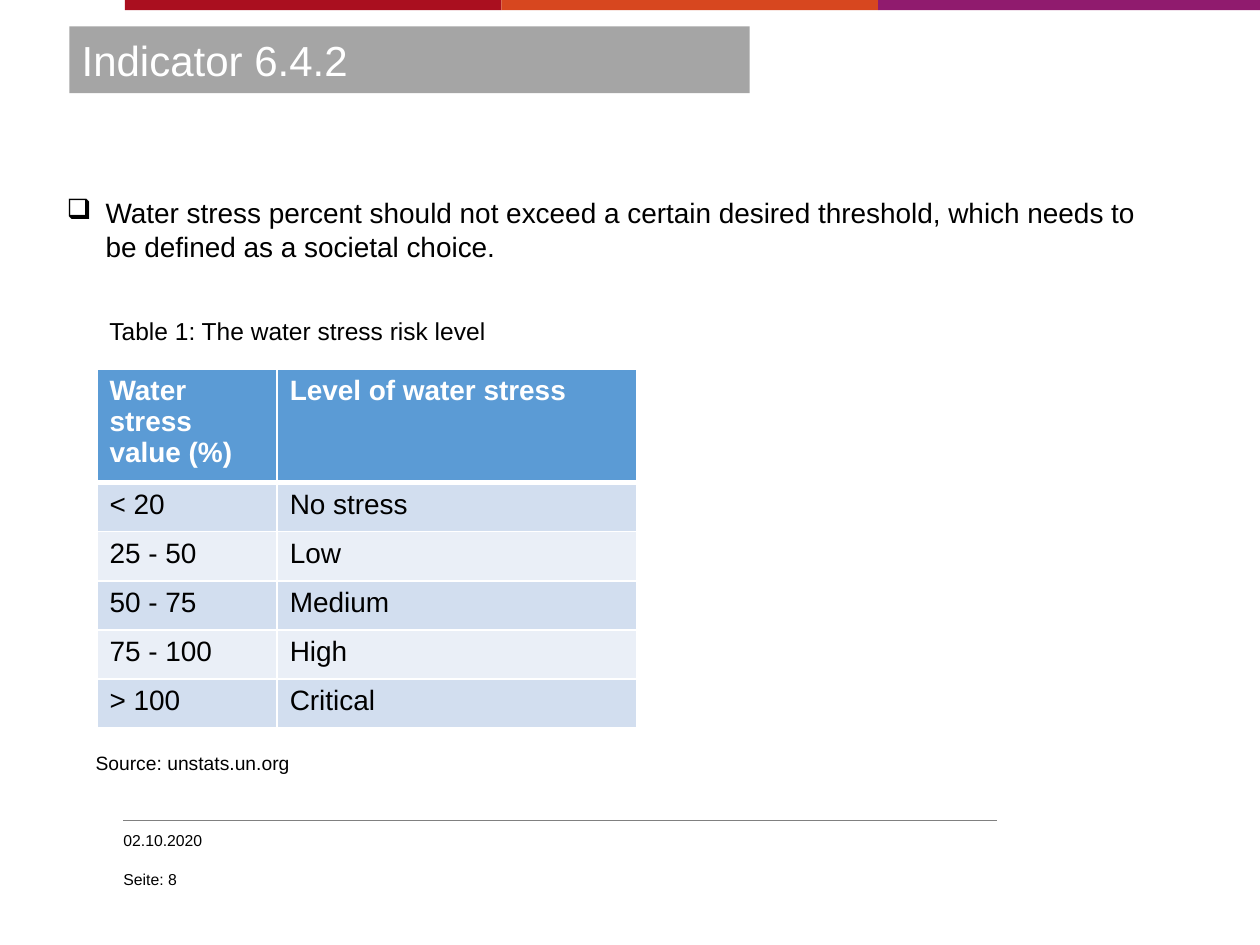
from pptx import Presentation
from pptx.dml.color import RGBColor
from pptx.enum import shapes, text
from pptx.oxml import parse_xml
from pptx.oxml.ns import nsdecls
from pptx.util import Inches, Pt

FONT = "Arial"
TITLE = ("Indicator 6.4.2", 24, "FFFFFF", (0.55, 0.21, 5.4, 0.53))
BARS = [("AA0F1F", 2.99), ("D7471F", 2.99), ("901B6E", 3.03)]
BULLET = ("Water stress percent should not exceed a certain desired threshold, "
          "which needs to be defined as a societal choice.")
LABELS = [
    ("Table 1: The water stress risk level", 14, (0.77, 2.46, 5.52, 0.34), True),
    ("Source: unstats.un.org", 11, (0.66, 5.91, 1.75, 0.29), False),
]
FOOTER = [("02.10.2020", (0.98, 6.58, 1.34, 0.25)),
          ("Seite: 8", (0.98, 6.89, 1.34, 0.29))]
ROWS = [
    ("Water stress value (%)", "Level of water stress"),
    ("< 20", "No stress"),
    ("25 - 50", "Low"),
    ("50 - 75", "Medium"),
    ("75 - 100", "High"),
    ("> 100", "Critical"),
]
COLUMNS = [1.43, 2.85]
HEADER_HEIGHT, ROW_HEIGHT = 0.68, 0.39
HEADER_FILL, BANDS = "5B9BD5", ["D2DEEF", "EAEFF7"]


def rgb(value):
    return RGBColor.from_string(value)


def add_run(p, words, size, color="000000", bold=False):
    r = p.add_run()
    r.text = words
    r.font.name, r.font.size, r.font.bold = FONT, Pt(size), bold
    r.font.color.rgb = rgb(color)


def add_rect(s, box, color):
    sp = s.shapes.add_shape(shapes.MSO_SHAPE.RECTANGLE, *map(Inches, box))
    sp.shadow.inherit = False
    sp.fill.solid()
    sp.fill.fore_color.rgb = rgb(color)
    sp.line.fill.background()
    return sp


def add_label(s, box, words, size, wrap=True):
    tf = s.shapes.add_textbox(*map(Inches, box)).text_frame
    tf.word_wrap = wrap
    add_run(tf.paragraphs[0], words, size)
    return tf


def set_borders(cell, bottom):
    tc_pr = cell._tc.get_or_add_tcPr()
    widths = {"lnL": 1, "lnR": 1, "lnT": 1, "lnB": bottom}
    for i, (side, width) in enumerate(widths.items()):
        tc_pr.insert(i, parse_xml(
            f'<a:{side} {nsdecls("a")} w="{Pt(width)}"><a:solidFill>'
            f'<a:srgbClr val="FFFFFF"/></a:solidFill></a:{side}>'))


def add_risk_table(s):
    height = HEADER_HEIGHT + ROW_HEIGHT * (len(ROWS) - 1)
    table = s.shapes.add_table(len(ROWS), len(COLUMNS), Inches(0.77), Inches(2.93),
                               Inches(sum(COLUMNS)), Inches(height)).table
    for column, width in zip(table.columns, COLUMNS):
        column.width = Inches(width)
    for i, row in enumerate(ROWS):
        header = i == 0
        table.rows[i].height = Inches(HEADER_HEIGHT if header else ROW_HEIGHT)
        for j, words in enumerate(row):
            cell = table.cell(i, j)
            cell.fill.solid()
            cell.fill.fore_color.rgb = rgb(HEADER_FILL if header else BANDS[(i - 1) % 2])
            set_borders(cell, 3 if header else 1)
            add_run(cell.text_frame.paragraphs[0], words, 16,
                    "FFFFFF" if header else "000000", header)


def add_rule(s):
    rule = s.shapes.add_connector(shapes.MSO_CONNECTOR.STRAIGHT, Inches(0.98),
                                  Inches(6.51), Inches(7.91), Inches(6.51))
    rule.line.color.rgb = rgb("808080")
    rule.line.width = Pt(0.5)
    rule._element.spPr.append(parse_xml(f'<a:effectLst {nsdecls("a")}/>'))


def main():
    prs = Presentation()
    prs.slide_width, prs.slide_height = Inches(10), Inches(7.5)
    s = prs.slides.add_slide(prs.slide_layouts[6])

    for words, box in FOOTER:
        tf = add_label(s, box, words, 9, False)
        tf.margin_left = tf.margin_right = tf.margin_top = tf.margin_bottom = 0
        tf.paragraphs[0].line_spacing = Pt(11.8)

    left = 0.99
    for color, width in BARS:
        add_rect(s, (left, 0, width, 0.08), color)
        left += width
    add_rule(s)

    tf = add_label(s, (0.43, 1.23, 8.79, 1.18), BULLET, 16)
    tf.vertical_anchor = text.MSO_ANCHOR.MIDDLE
    p_pr = tf.paragraphs[0]._p.get_or_add_pPr()
    p_pr.set("marL", str(Inches(0.31)))
    p_pr.set("indent", str(Inches(-0.31)))
    p_pr.append(parse_xml(f'<a:buChar {nsdecls("a")} char="❑"/>'))

    add_risk_table(s)
    for words, size, box, wrap in LABELS:
        add_label(s, box, words, size, wrap)

    words, size, color, box = TITLE
    tf = add_rect(s, box, "A5A5A5").text_frame
    tf.vertical_anchor = text.MSO_ANCHOR.MIDDLE
    tf.paragraphs[0].alignment = text.PP_ALIGN.LEFT
    add_run(tf.paragraphs[0], words, size, color)

    prs.save("out.pptx")


if __name__ == "__main__":
    main()
